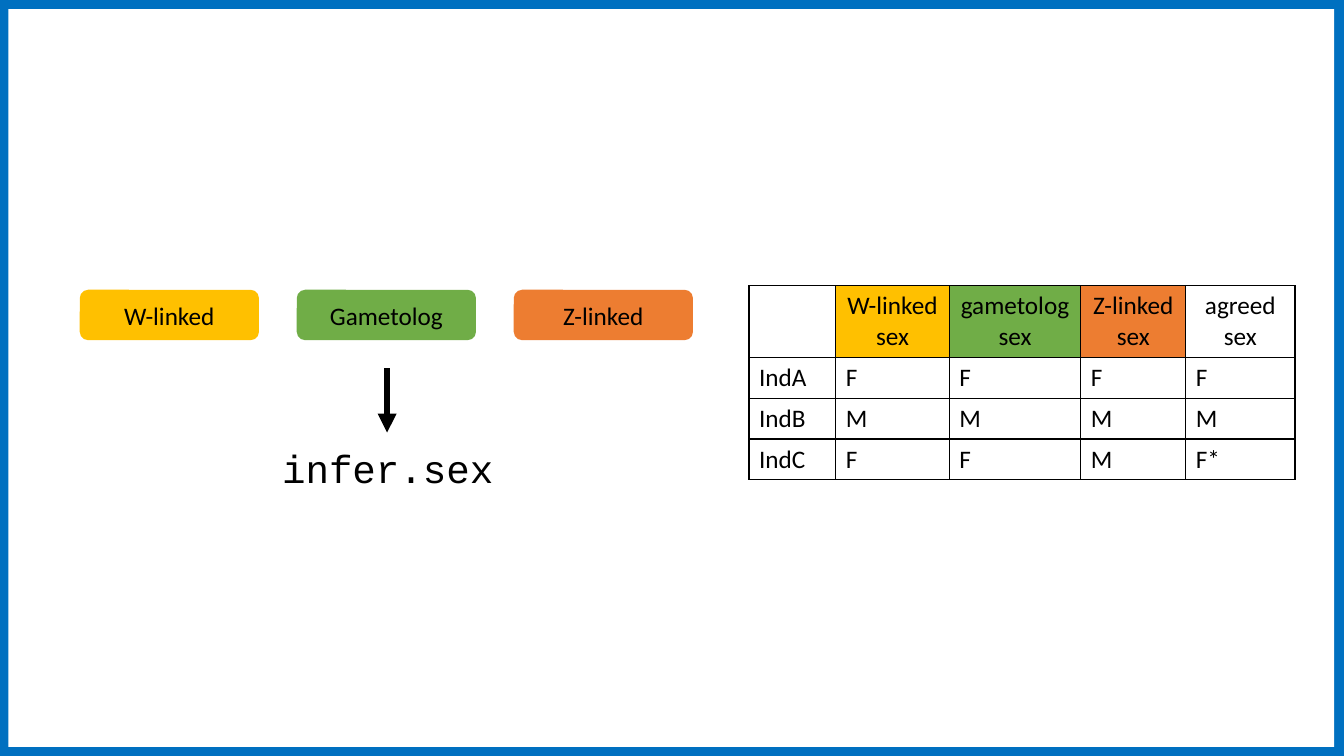
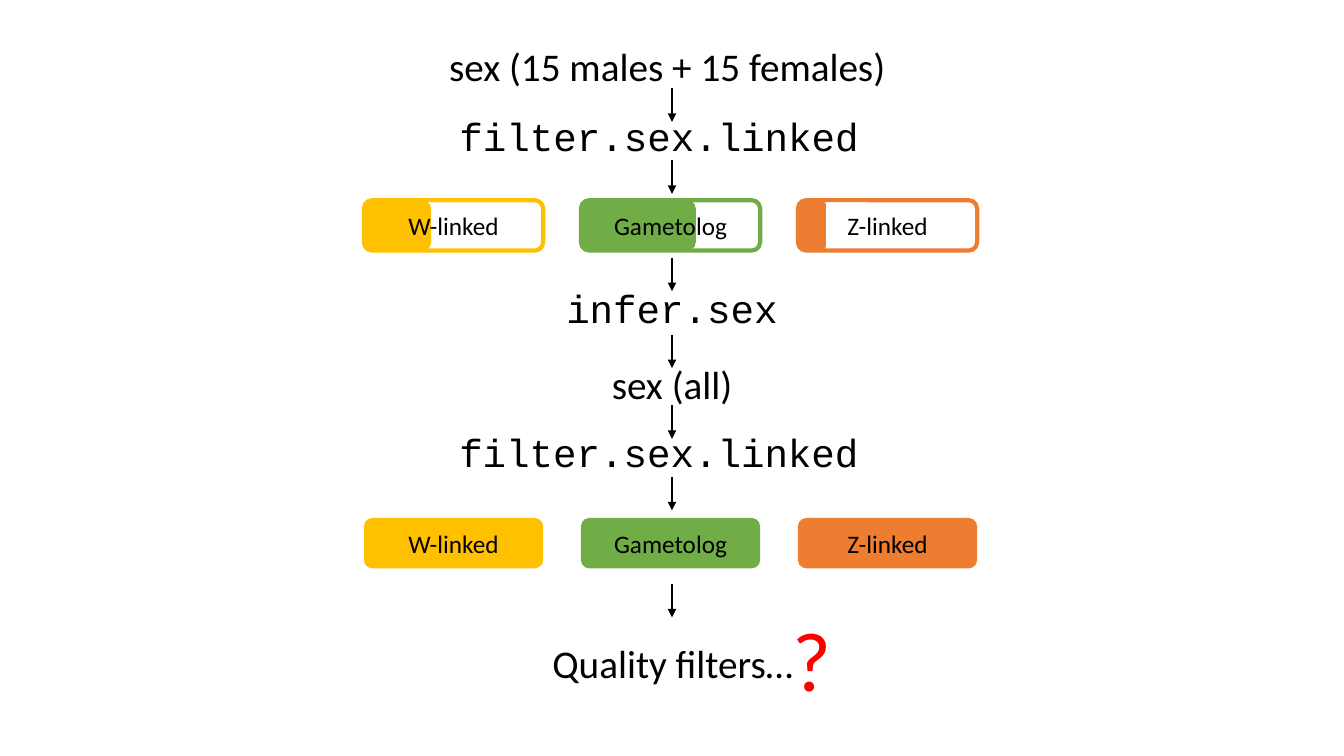
"""Build two slides on inferring sex from sex-linked markers."""
from pptx import Presentation
from pptx.dml.color import RGBColor
from pptx.enum.shapes import MSO_CONNECTOR, MSO_SHAPE
from pptx.enum.text import MSO_ANCHOR, MSO_AUTO_SIZE, PP_ALIGN
from pptx.oxml import parse_xml
from pptx.oxml.ns import nsdecls, qn
from pptx.util import Pt

COLOURS = {
    "frame": "0070C0", "white": "FFFFFF", "black": "000000", "red": "FF0000",
    "w": "FFC000", "gametolog": "70AD47", "z": "ED7D31",
}
BODY_FONT, CODE_FONT = "Calibri", "Courier New"
MARKERS = [("W-linked", "w"), ("Gametolog", "gametolog"), ("Z-linked", "z")]
MARKER_WIDTH, MARKER_HEIGHT, MARKER_STEP = 128, 36, 155
FLOW_CENTRE, FLOW_LEFT = 480, 260


def colour(name):
    """Return the named colour."""
    return RGBColor.from_string(COLOURS[name])


def box(left, top, width, height):
    """Return a position and size in points."""
    return Pt(left), Pt(top), Pt(width), Pt(height)


def add_run(paragraph, text, size, font_name=BODY_FONT, ink="black"):
    """Add one formatted run to a paragraph."""
    run = paragraph.add_run()
    run.text = text
    run.font.size, run.font.name = Pt(size), font_name
    run.font.color.rgb = colour(ink)


def fill_frame(frame, text, size=28, font_name=BODY_FONT, ink="black",
               alignment=PP_ALIGN.CENTER, line_spacing=1.0):
    """Write one line of text into a text frame."""
    frame.word_wrap = True
    frame.auto_size = MSO_AUTO_SIZE.NONE
    paragraph = frame.paragraphs[0]
    paragraph.alignment = alignment
    paragraph.line_spacing = line_spacing
    paragraph.space_before = Pt(0)
    add_run(paragraph, text, size, font_name, ink)


def add_text(slide, position, text, **style):
    """Add a text box."""
    shape = slide.shapes.add_textbox(*box(*position))
    fill_frame(shape.text_frame, text, **style)


def add_block(shapes, kind, position, fill=None, line=None):
    """Add a preset shape with an optional fill and outline."""
    shape = shapes.add_shape(kind, *box(*position))
    shape.shadow.inherit = False
    if fill:
        shape.fill.solid()
        shape.fill.fore_color.rgb = colour(fill)
    else:
        shape.fill.background()
    if line:
        shape.line.color.rgb = colour(line)
        shape.line.width = Pt(3)
    else:
        shape.line.fill.background()
    return shape


def add_markers(slide, left, top, filled_widths=None):
    """Add the row of marker boxes, full or partly filled."""
    for index, (label, tint) in enumerate(MARKERS):
        position = (left + index * MARKER_STEP, top, MARKER_WIDTH, MARKER_HEIGHT)
        shapes, style = slide.shapes, {"fill": tint}
        if filled_widths:
            shapes = slide.shapes.add_group_shape().shapes
            style = {"line": tint}
            part = (position[0], top, filled_widths[index], MARKER_HEIGHT)
            add_block(shapes, MSO_SHAPE.ROUNDED_RECTANGLE, part, fill=tint)
        shape = add_block(shapes, MSO_SHAPE.ROUNDED_RECTANGLE, position, **style)
        shape.text_frame.vertical_anchor = MSO_ANCHOR.MIDDLE
        fill_frame(shape.text_frame, label, size=18)


def add_arrow(slide, centre, top, length=24, width=2):
    """Add a downward arrow."""
    arrow = slide.shapes.add_connector(
        MSO_CONNECTOR.STRAIGHT, Pt(centre), Pt(top), Pt(centre), Pt(top + length))
    arrow.line.color.rgb = colour("black")
    arrow.line.width = Pt(width)
    properties = arrow.element.spPr
    properties.find(qn("a:ln")).append(
        parse_xml(f'<a:tailEnd {nsdecls("a")} type="triangle"/>'))
    properties.append(parse_xml(f'<a:effectLst {nsdecls("a")}/>'))


def format_cell(cell, text, alignment, fill):
    """Give a table cell its text, borders and fill."""
    properties = cell._tc.get_or_add_tcPr()
    for side in "LRTB":
        properties.append(parse_xml(
            f'<a:ln{side} {nsdecls("a")} w="{Pt(1)}"><a:solidFill>'
            f'<a:srgbClr val="{COLOURS["black"]}"/></a:solidFill></a:ln{side}>'))
    if fill:
        cell.fill.solid()
        cell.fill.fore_color.rgb = colour(fill)
    else:
        cell.fill.background()
    frame = cell.text_frame
    for index, line in enumerate(text.split("\n")):
        paragraph = frame.add_paragraph() if index else frame.paragraphs[0]
        paragraph.alignment = alignment
        add_run(paragraph, line, 18)


def add_sex_table(slide):
    """Add the table of sexes inferred for each individual."""
    rows = [
        ["", "W-linked\nsex", "gametolog sex", "Z-linked sex", "agreed sex"],
        ["IndA", "F", "F", "F", "F"],
        ["IndB", "M", "M", "M", "M"],
        ["IndC", "F", "F", "M", "F*"],
    ]
    header_fills = [None, "w", "gametolog", "z", None]
    widths, heights = [62, 81, 94, 75, 78], [51, 29, 29, 29]
    table = slide.shapes.add_table(
        len(rows), len(widths), *box(535, 204, sum(widths), sum(heights))).table
    table.first_row = table.horz_banding = False
    for column, width in zip(table.columns, widths):
        column.width = Pt(width)
    for row_index, texts in enumerate(rows):
        table.rows[row_index].height = Pt(heights[row_index])
        header = row_index == 0
        alignment = PP_ALIGN.CENTER if header else PP_ALIGN.LEFT
        for column_index, text in enumerate(texts):
            format_cell(table.cell(row_index, column_index), text, alignment,
                        header_fills[column_index] if header else None)


def build_inference_slide(presentation):
    """Build the slide that shows how sex is inferred."""
    slide = presentation.slides.add_slide(presentation.slide_layouts[6])
    slide.background.fill.solid()
    slide.background.fill.fore_color.rgb = colour("frame")
    add_block(slide.shapes, MSO_SHAPE.RECTANGLE, (6, 6.5, 947, 527), fill="white")
    add_text(slide, (191, 318, 172, 36), "infer.sex",
             font_name=CODE_FONT, line_spacing=0.9)
    add_markers(slide, 57, 207)
    add_arrow(slide, 276.5, 263, length=46, width=4.5)
    add_sex_table(slide)


def build_workflow_slide(presentation):
    """Build the slide that shows the whole workflow."""
    slide = presentation.slides.add_slide(presentation.slide_layouts[1])
    title = slide.shapes.title.element
    title.getparent().remove(title)
    code = {"font_name": CODE_FONT, "line_spacing": 0.8}
    filter_style = {**code, "alignment": PP_ALIGN.LEFT}
    filter_name = "filter.sex.linked"

    body = slide.placeholders[1]
    body.left, body.top, body.width, body.height = box(321, 83, 318, 36)
    properties = body.text_frame.paragraphs[0]._p.get_or_add_pPr()
    properties.set("marL", "0")
    properties.set("indent", "0")
    properties.append(parse_xml(f'<a:buNone {nsdecls("a")}/>'))
    fill_frame(body.text_frame, filter_name, **filter_style)

    add_text(slide, (298, 27, 357, 41), "sex (15 males + 15 females)")
    add_text(slide, (394, 206, 172, 36), "infer.sex", **code)
    add_text(slide, (428, 254, 104, 41), "sex (all)")
    add_text(slide, (321, 309, 318, 36), filter_name, **filter_style)
    add_text(slide, (386, 453, 189, 41), "Quality filters…")
    add_text(slide, (528, 430.5, 104, 80), "?", size=60, ink="red")
    add_markers(slide, FLOW_LEFT, 143, filled_widths=[48, 82, 20])
    add_markers(slide, FLOW_LEFT, 370)
    for top in (63, 114.5, 184, 239, 289.5, 340.5, 417):
        add_arrow(slide, FLOW_CENTRE, top)


def main():
    """Create and save the presentation."""
    presentation = Presentation()
    presentation.slide_width, presentation.slide_height = Pt(960), Pt(540)
    build_inference_slide(presentation)
    build_workflow_slide(presentation)
    presentation.save("out.pptx")


if __name__ == "__main__":
    main()
